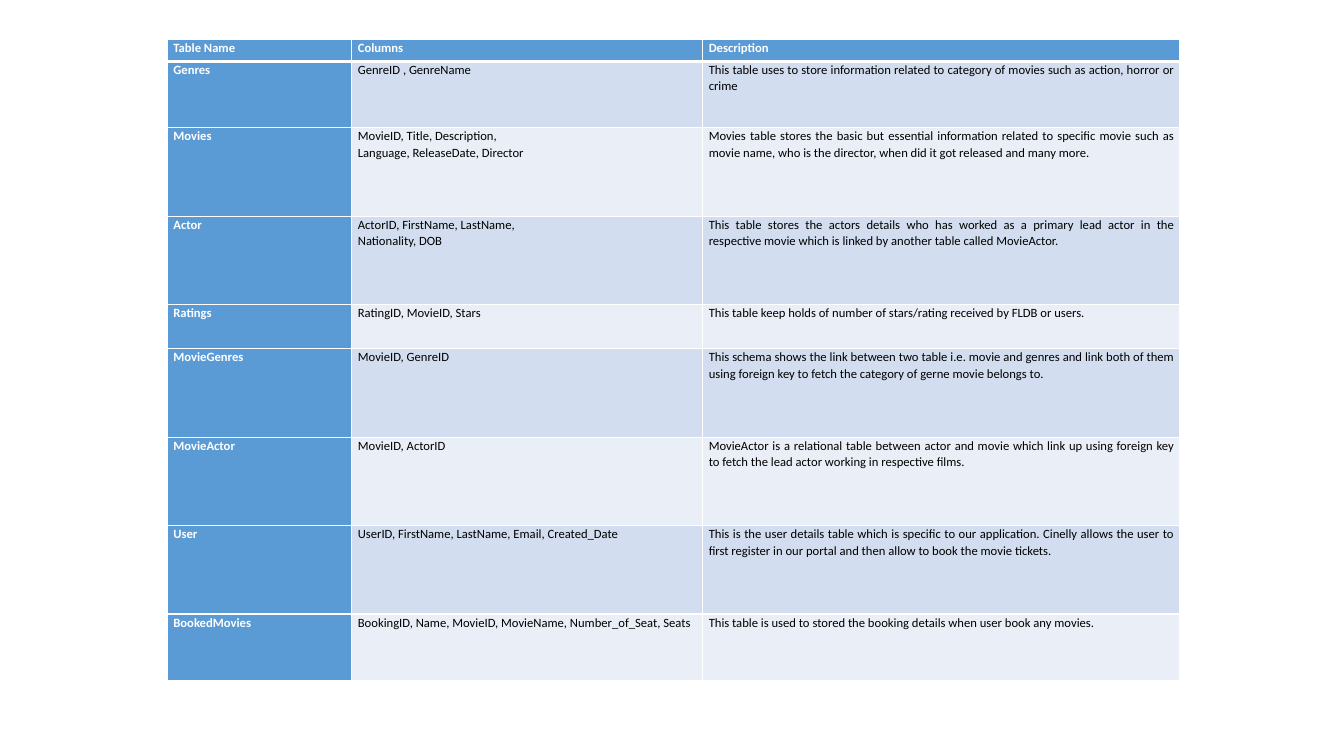
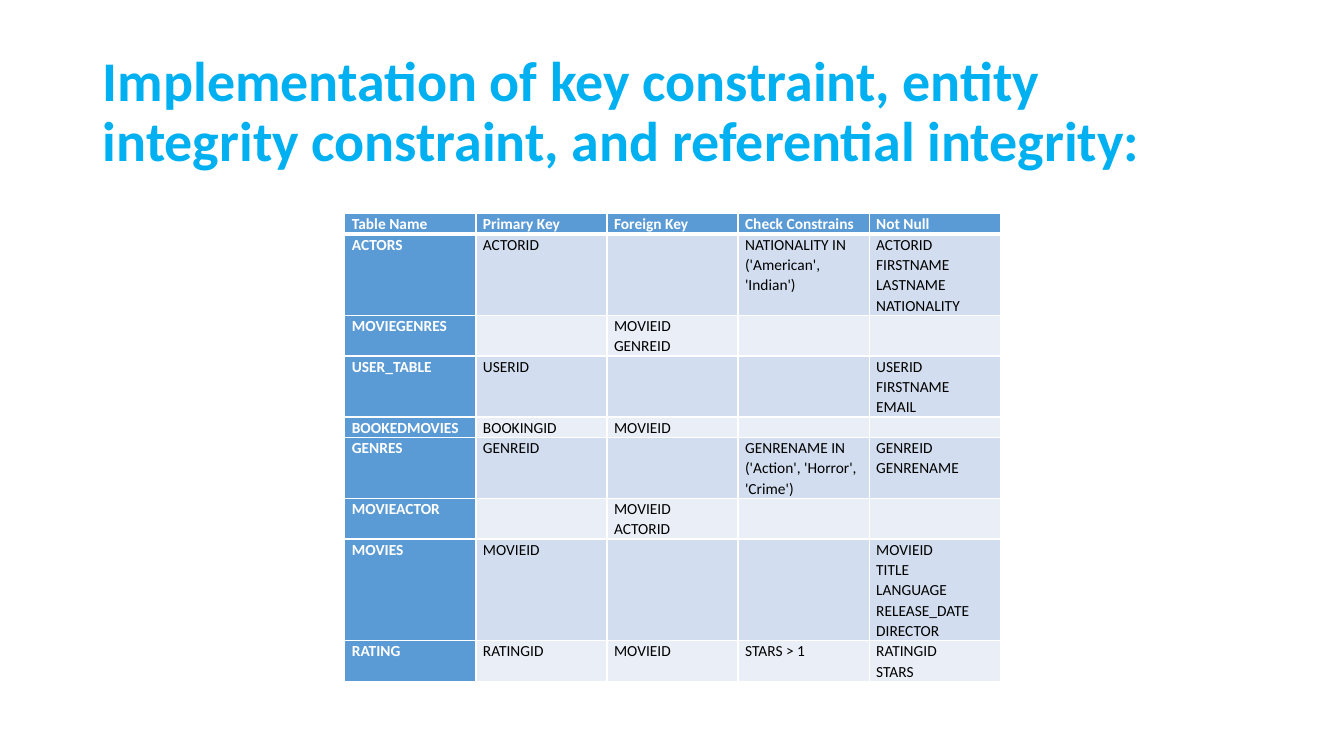
"""Build two slides on a movie database: its tables and its key constraints."""
from dataclasses import dataclass

from lxml import etree
from pptx import Presentation
from pptx import util as u
from pptx.dml.color import RGBColor
from pptx.enum import text
from pptx.oxml.ns import qn

PX = 9144


@dataclass(frozen=True)
class Theme:
    font: str = "Calibri"
    title: str = "00B0F0"
    head: str = "5B9BD5"
    bands: tuple = ("D2DEEF", "EAEFF7")
    light: str = "FFFFFF"
    dark: str = "000000"
    title_pt: int = 40
    border_pt: int = 1
    head_border_pt: int = 3
    title_spacing: float = 0.9
    cell_spacing: float = 1.07


T = Theme()

SCHEMA = {
    "box": (166, 39, 1004, 636), "cols": (183, 348, 473), "pt": 9, "inset": 6, "justified": (2,),
    "units": (1, 3, 4, 4, 2, 4, 4, 4, 3),
    "rows": [
        ("Table Name", "Columns", "Description"),
        ("Genres", "GenreID , GenreName",
         "This table uses to store information related to category of movies such as action, "
         "horror or crime"),
        ("Movies", "MovieID, Title, Description,\nLanguage, ReleaseDate, Director",
         "Movies table stores the basic but essential information related to specific movie such "
         "as movie name, who is the director, when did it got released and many more."),
        ("Actor", "ActorID, FirstName, LastName,\nNationality, DOB",
         "This table stores the actors details who has worked as a primary lead actor in the "
         "respective movie which is linked by another table called MovieActor."),
        ("Ratings", "RatingID, MovieID, Stars",
         "This table keep holds of number of stars/rating received by FLDB or users."),
        ("MovieGenres", "MovieID, GenreID",
         "This schema shows the link between two table i.e. movie and genres and link both of "
         "them using foreign key to fetch the category of gerne movie belongs to."),
        ("MovieActor", "MovieID, ActorID",
         "MovieActor is a relational table between actor and movie which link up using foreign "
         "key to fetch the lead actor working in respective films."),
        ("User", "UserID, FirstName, LastName, Email, Created_Date",
         "This is the user details table which is specific to our application. Cinelly allows the "
         "user to first register in our portal and then allow to book the movie tickets."),
        ("BookedMovies", "BookingID, Name, MovieID, MovieName, Number_of_Seat, Seats",
         "This table is used to stored the booking details when user book any movies."),
    ],
}

TITLE = "Implementation of key constraint, entity integrity constraint, and referential integrity:"
TITLE_BOX = (92, 40, 1150, 145)

CONSTRAINTS = {
    "box": (342, 212, 650, 464), "cols": (130,) * 5, "pt": 11, "inset": 7, "justified": (),
    "units": (1, 4, 2, 3, 1, 3, 2, 5, 2),
    "rows": [
        ("Table Name", "Primary Key", "Foreign Key", "Check Constrains", "Not Null"),
        ("ACTORS", "ACTORID", "", "NATIONALITY IN ('American', 'Indian')",
         "ACTORID\nFIRSTNAME\nLASTNAME\nNATIONALITY"),
        ("MOVIEGENRES", "", "MOVIEID\nGENREID", "", ""),
        ("USER_TABLE", "USERID", "", "", "USERID\nFIRSTNAME\nEMAIL"),
        ("BOOKEDMOVIES", "BOOKINGID", "MOVIEID", "", ""),
        ("GENRES", "GENREID", "", "GENRENAME IN ('Action', 'Horror', 'Crime')",
         "GENREID\nGENRENAME"),
        ("MOVIEACTOR", "", "MOVIEID\nACTORID", "", ""),
        ("MOVIES", "MOVIEID", "", "", "MOVIEID\nTITLE\nLANGUAGE\nRELEASE_DATE\nDIRECTOR"),
        ("RATING", "RATINGID", "MOVIEID", "STARS > 1", "RATINGID\nSTARS"),
    ],
}


def px(n):
    return u.Emu(round(n * PX))


def add_run(p, words, pt, color, bold):
    r = p.add_run()
    r.text = words
    r.font.name, r.font.size, r.font.bold = T.font, u.Pt(pt), bold
    r.font.color.rgb = RGBColor.from_string(color)


def add_borders(cell, row):
    tc_pr = cell._tc.get_or_add_tcPr()
    top = T.head_border_pt if row == 1 else T.border_pt
    bottom = T.head_border_pt if row == 0 else T.border_pt
    sides = (("L", T.border_pt), ("R", T.border_pt), ("T", top), ("B", bottom))
    for i, (side, width) in enumerate(sides):
        ln = etree.Element(qn(f"a:ln{side}"), w=str(u.Pt(width)))
        fill = etree.SubElement(ln, qn("a:solidFill"))
        etree.SubElement(fill, qn("a:srgbClr"), val=T.light)
        tc_pr.insert(i, ln)


def fill_cell(cell, words, row, col, spec):
    is_head = row == 0 or col == 0
    cell.margin_left = cell.margin_right = px(spec["inset"])
    cell.margin_top = cell.margin_bottom = 0
    cell.fill.solid()
    cell.fill.fore_color.rgb = RGBColor.from_string(T.head if is_head else T.bands[(row - 1) % 2])
    add_borders(cell, row)
    tf = cell.text_frame
    for i, line in enumerate(words.split("\n")):
        p = tf.add_paragraph() if i else tf.paragraphs[0]
        p.line_spacing = T.cell_spacing
        if row and col in spec["justified"]:
            p.alignment = text.PP_ALIGN.JUSTIFY
        if line:
            add_run(p, line, spec["pt"], T.light if is_head else T.dark, is_head)
        else:
            etree.SubElement(p._p, qn("a:endParaRPr"), sz=str(spec["pt"] * 100))


def add_grid(s, spec):
    rows, units = spec["rows"], spec["units"]
    frame = s.shapes.add_table(len(rows), len(spec["cols"]), *map(px, spec["box"]))
    table = frame.table
    table.first_col = True
    for column, width in zip(table.columns, spec["cols"]):
        column.width = px(width)
    for i, row in enumerate(rows):
        table.rows[i].height = px(spec["box"][3] * units[i] / sum(units))
        for j, words in enumerate(row):
            fill_cell(table.cell(i, j), words, i, j, spec)


def add_title(s):
    sp = s.shapes.title
    sp.left, sp.top, sp.width, sp.height = map(px, TITLE_BOX)
    tf = sp.text_frame
    tf.word_wrap, tf.auto_size = True, text.MSO_AUTO_SIZE.NONE
    tf.vertical_anchor = text.MSO_ANCHOR.MIDDLE
    p = tf.paragraphs[0]
    p.alignment, p.line_spacing = text.PP_ALIGN.LEFT, T.title_spacing
    add_run(p, TITLE, T.title_pt, T.title, True)


def main():
    prs = Presentation()
    prs.slide_width, prs.slide_height = px(1333), px(750)
    title_only, blank = prs.slide_layouts[5], prs.slide_layouts[6]
    add_grid(prs.slides.add_slide(blank), SCHEMA)
    s = prs.slides.add_slide(title_only)
    add_title(s)
    add_grid(s, CONSTRAINTS)
    prs.save("out.pptx")


if __name__ == "__main__":
    main()
